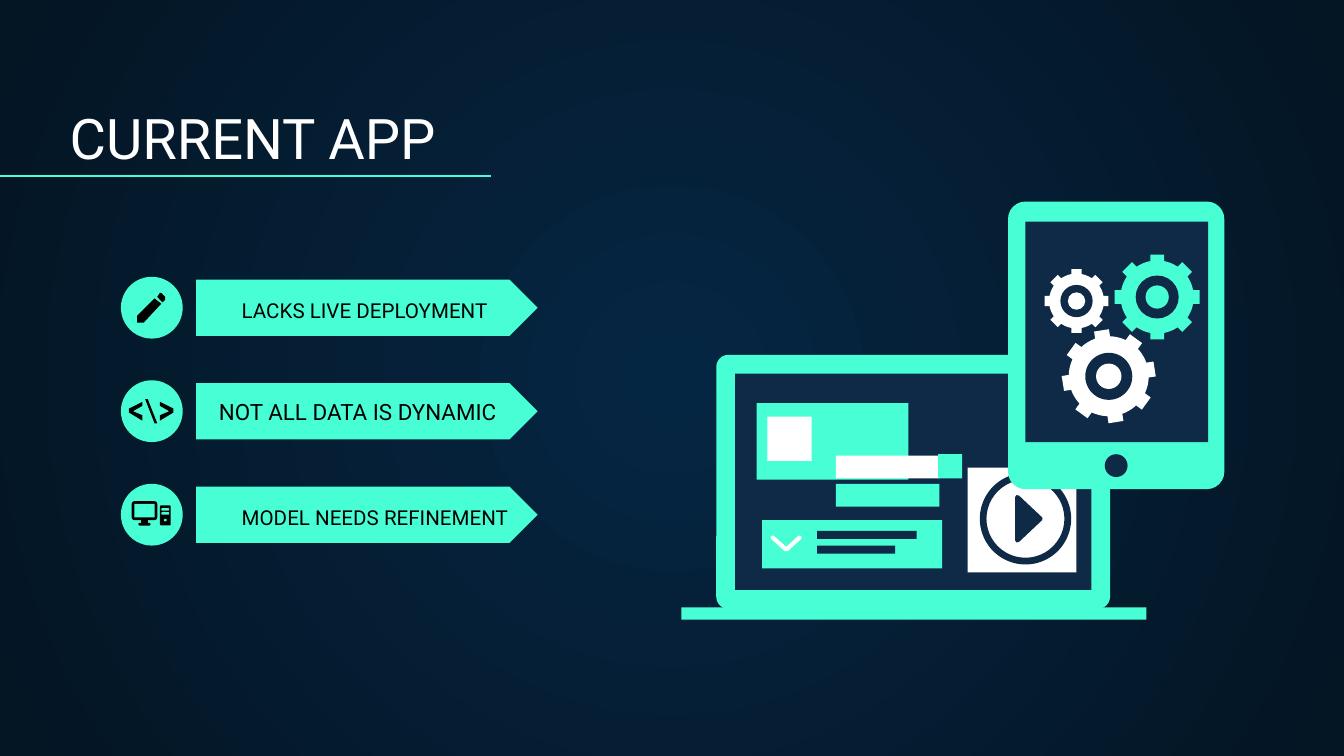
from math import asin, cos, pi, radians, sin

from lxml import etree
from pptx import Presentation
from pptx.dml.color import RGBColor
from pptx.enum.shapes import MSO_CONNECTOR, MSO_SHAPE as SHAPE
from pptx.enum.text import MSO_ANCHOR
from pptx.oxml.ns import qn
from pptx.util import Inches, Pt

MINT, NAVY, WHITE, BLACK = "48FFD5", "0E2A47", "FFFFFF", "000000"
color = RGBColor.from_string


def block(kind, left, top, width, height, fill, radius=0):
    shape = slide.shapes.add_shape(
        kind, Inches(left), Inches(top), Inches(width), Inches(height))
    shape.shadow.inherit = False
    shape.fill.solid()
    shape.fill.fore_color.rgb = color(fill)
    shape.line.fill.background()
    if radius:
        shape.adjustments[0] = radius / min(width, height)
    return shape


def outline(points, fill=None, line=None, width=0):
    """Draw a closed filled polygon, or an open stroke when fill is None."""
    corners = [(Inches(x), Inches(y)) for x, y in points]
    builder = slide.shapes.build_freeform(*corners[0])
    builder.add_line_segments(corners[1:], close=fill is not None)
    shape = builder.convert_to_shape()
    shape.shadow.inherit = False
    if fill:
        shape.fill.solid()
        shape.fill.fore_color.rgb = color(fill)
    else:
        shape.fill.background()
    if line:
        shape.line.color.rgb = color(line)
        shape.line.width = Pt(width)
        stroke = shape._element.spPr.get_or_add_ln()
        stroke.set("cap", "rnd")
        etree.SubElement(stroke, qn("a:round"))
    else:
        shape.line.fill.background()


prs = Presentation()
prs.slide_width = Inches(10)
prs.slide_height = Inches(10) * 9 // 16
slide = prs.slides.add_slide(prs.slide_layouts[6])

# Radial background
backdrop = slide.background.fill
backdrop.gradient()
for stop, shade in zip(backdrop.gradient_stops, ("052643", "041523")):
    stop.color.rgb = color(shade)
linear = next(slide._element.iter(qn("a:lin")))
radial = etree.Element(qn("a:path"), {"path": "circle"})
etree.SubElement(radial, qn("a:fillToRect"),
                 {side: "50000" for side in "ltrb"})
linear.getparent().replace(linear, radial)

# Arrows and icon discs
ROW_TOP, ROW_STEP = 2.08, 0.77
for row in range(3):
    top = ROW_TOP + row * ROW_STEP
    block(SHAPE.PENTAGON, 1.46, top, 2.54, 0.42, MINT)
    block(SHAPE.OVAL, 0.9, top - 0.02, 0.46, 0.46, MINT)

# Title and labels
for wording, left, top, width, height, size, ink in [
    ("CURRENT APP", 0.42, 0.71, 8.57, 0.66, 30, WHITE),
    ("LACKS LIVE DEPLOYMENT", 1.7, 2.28, 2.27, 0.21, 11, BLACK),
    ("NOT ALL DATA IS DYNAMIC", 1.53, 3.05, 2.48, 0.21, 12, BLACK),
    ("MODEL NEEDS REFINEMENT", 1.7, 3.82, 2.27, 0.21, 11, BLACK),
]:
    frame = slide.shapes.add_textbox(
        Inches(left), Inches(top), Inches(width), Inches(height)).text_frame
    frame.word_wrap = True
    frame.vertical_anchor = MSO_ANCHOR.BOTTOM
    frame.margin_left = frame.margin_right = Inches(0.1)
    frame.margin_top = frame.margin_bottom = Inches(0.1)
    frame.text = wording
    font = frame.paragraphs[0].runs[0].font
    font.name, font.size, font.color.rgb = "Roboto", Pt(size), color(ink)

title_rule = slide.shapes.add_connector(
    MSO_CONNECTOR.STRAIGHT, 0, Inches(1.31), Inches(3.65), Inches(1.31))
title_rule.line.color.rgb = color(MINT)
title_rule.line.width = Pt(0.75)
etree.SubElement(title_rule._element.spPr, qn("a:effectLst"))

# Pencil icon
outline([(1.15, 2.22), (1.02, 2.35), (1.02, 2.4), (1.07, 2.4), (1.2, 2.26)], BLACK)
outline([(1.17, 2.21), (1.19, 2.18), (1.2, 2.18), (1.23, 2.21), (1.23, 2.23),
         (1.21, 2.25)], BLACK)

# Code icon
for tip, inward in ((0.96, 1), (1.29, -1)):
    outline([(tip + inward * dx, y) for dx, y in [
        (0.1, 3.13), (0, 3.07), (0, 3.04), (0.1, 2.99), (0.1, 3.02),
        (0.03, 3.06), (0.1, 3.09)]], BLACK)
outline([(1.15, 3.15), (1.08, 2.97), (1.1, 2.97), (1.17, 3.15)], BLACK)

# Computer icon: screen, stand, foot, tower, slots, button
for kind, left, top, width, height, fill, radius in [
    (SHAPE.ROUNDED_RECTANGLE, 0.98, 3.73, 0.19, 0.14, BLACK, 0.02),
    (SHAPE.RECTANGLE, 1, 3.75, 0.15, 0.1, MINT, 0),
    (SHAPE.RECTANGLE, 1.05, 3.87, 0.05, 0.03, BLACK, 0),
    (SHAPE.ROUNDED_RECTANGLE, 1.03, 3.89, 0.09, 0.02, BLACK, 0.01),
    (SHAPE.ROUNDED_RECTANGLE, 1.19, 3.76, 0.08, 0.15, BLACK, 0.01),
    (SHAPE.ROUNDED_RECTANGLE, 1.2, 3.78, 0.06, 0.02, MINT, 0.01),
    (SHAPE.ROUNDED_RECTANGLE, 1.2, 3.81, 0.06, 0.02, MINT, 0.01),
    (SHAPE.OVAL, 1.22, 3.86, 0.02, 0.02, MINT, 0),
]:
    block(kind, left, top, width, height, fill, radius)

# Laptop with its window tiles
block(SHAPE.ROUNDED_RECTANGLE, 5.33, 2.64, 2.93, 1.89, MINT, 0.09)
for left, top, width, height, fill in [
    (5.47, 2.78, 2.65, 1.61, NAVY),
    (5.07, 4.52, 3.46, 0.09, MINT),
    (5.63, 3, 1.13, 0.57, MINT),
    (5.71, 3.1, 0.33, 0.33, WHITE),
    (5.67, 3.87, 1.34, 0.36, MINT),
    (6.08, 3.95, 0.74, 0.06, NAVY),
    (6.08, 4.06, 0.58, 0.06, NAVY),
    (6.22, 3.6, 0.77, 0.17, MINT),
    (6.22, 3.39, 0.77, 0.17, WHITE),
    (6.98, 3.38, 0.18, 0.18, MINT),
    (7.2, 3.48, 0.81, 0.78, WHITE),
]:
    block(SHAPE.RECTANGLE, left, top, width, height, fill)
outline([(5.75, 4), (5.85, 4.09), (5.95, 4)], line=WHITE, width=2.25)
block(SHAPE.DONUT, 7.29, 3.52, 0.68, 0.68, NAVY, 0.05)
outline([(7.57, 3.7), (7.57, 4.02), (7.74, 3.86)], NAVY, NAVY, 2.5)

# Tablet
block(SHAPE.ROUNDED_RECTANGLE, 7.5, 1.5, 1.61, 2.14, MINT, 0.13)
block(SHAPE.RECTANGLE, 7.63, 1.65, 1.36, 1.64, NAVY)
block(SHAPE.OVAL, 8.22, 3.38, 0.17, 0.17, NAVY)

# Gears: eight teeth around a rim, then a hole and a hub
for x, y, radius, turn, fill in [
    (8.61, 2.21, 0.32, 0, MINT),
    (8.01, 2.24, 0.24, 0, WHITE),
    (8.25, 2.8, 0.35, -9, WHITE),
]:
    rim, half_tooth = 0.85 * radius, 0.16 * radius
    at_tip, at_rim = asin(half_tooth / radius), asin(half_tooth / rim)
    profile = []
    for tooth in range(8):
        middle = radians(turn) + tooth * pi / 4
        profile += [(rim, middle - at_rim), (radius, middle - at_tip),
                    (radius, middle + at_tip), (rim, middle + at_rim)]
        gap = pi / 4 - 2 * at_rim
        profile += [(rim, middle + at_rim + gap * part / 5) for part in range(1, 5)]
    outline([(x + r * cos(a), y + r * sin(a)) for r, a in profile], fill)
    for ratio, tone in ((0.5, NAVY), (0.27, fill)):
        r = ratio * radius
        block(SHAPE.OVAL, x - r, y - r, 2 * r, 2 * r, tone)

prs.save("out.pptx")
